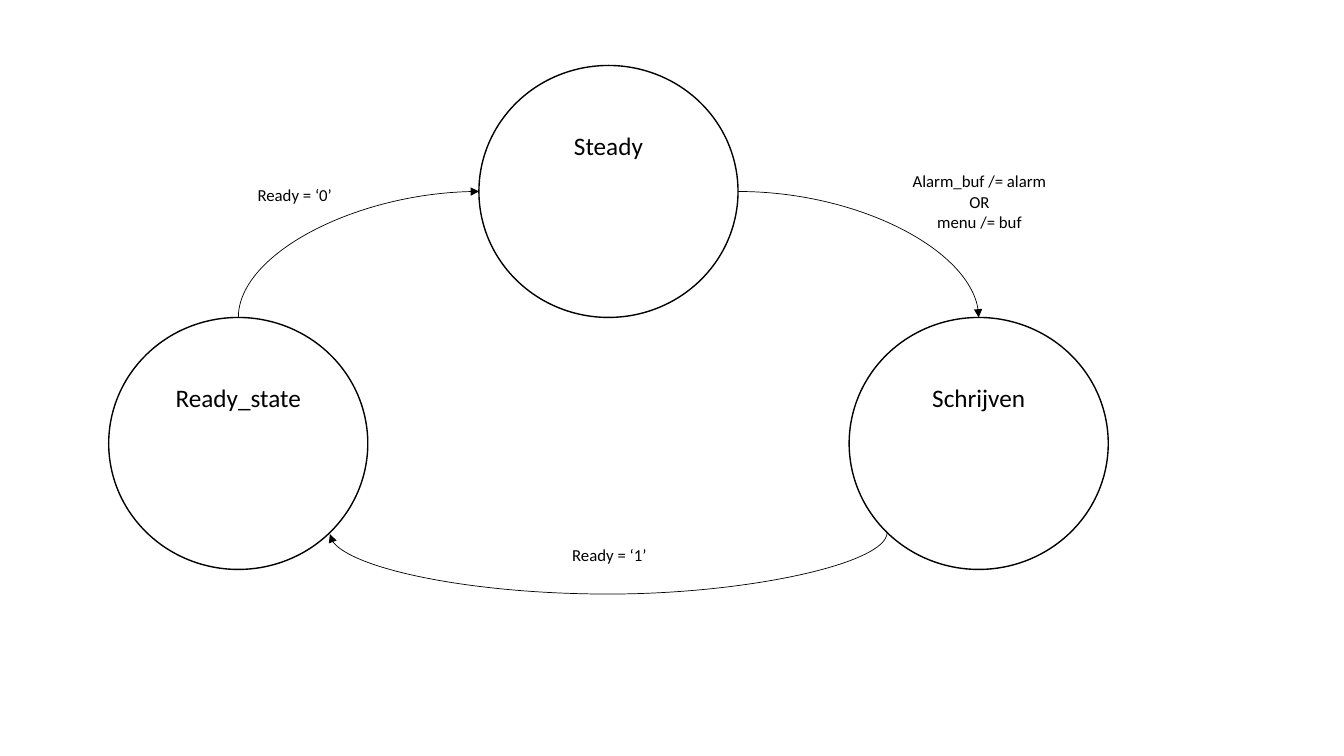
import math
from dataclasses import dataclass

import lxml.etree
import pptx
import pptx.dml.color
import pptx.enum.shapes
import pptx.enum.text
import pptx.oxml.ns
import pptx.util

Cm = pptx.util.Cm
Pt = pptx.util.Pt
qn = pptx.oxml.ns.qn

INK = "000000"
WIDE, HIGH = 6.53, 6.35
MID = 12.07
STEP = 9.33
TOP = 1.65


@dataclass
class State:
    name: str
    left: float
    top: float

    def rim(self, angle: float) -> tuple[float, float]:
        """Point on the outline, in degrees clockwise from the right."""
        turn = math.radians(angle)
        return (self.left + WIDE / 2 * (1 + math.cos(turn)),
                self.top + HIGH / 2 * (1 + math.sin(turn)))


@dataclass
class Arrow:
    start: tuple[float, float]
    end: tuple[float, float]
    turned: bool
    dip: float = 0  # how far a U-shaped curve sinks below its start


@dataclass
class Label:
    lines: list[str]
    left: float
    top: float
    width: float
    height: float
    size: int = 12


def color(code: str) -> pptx.dml.color.RGBColor:
    return pptx.dml.color.RGBColor.from_string(code)


def write(shapes, label: Label) -> None:
    box = shapes.add_textbox(Cm(label.left), Cm(label.top), Cm(label.width), Cm(label.height))
    frame = box.text_frame
    frame.word_wrap = True
    frame.auto_size = pptx.enum.text.MSO_AUTO_SIZE.SHAPE_TO_FIT_TEXT
    for i, line in enumerate(label.lines):
        para = frame.paragraphs[0] if i == 0 else frame.add_paragraph()
        para.alignment = pptx.enum.text.PP_ALIGN.CENTER
        run = para.add_run()
        run.text = line
        run.font.name = "Calibri"
        run.font.size = Pt(label.size)
        run.font.color.rgb = color(INK)


def draw_state(shapes, state: State) -> None:
    group = shapes.add_group_shape()
    ring = group.shapes.add_shape(pptx.enum.shapes.MSO_SHAPE.OVAL, Cm(state.left),
                                  Cm(state.top), Cm(WIDE), Cm(HIGH))
    ring.shadow.inherit = False
    ring.fill.background()
    ring.line.color.rgb = color(INK)
    ring.line.width = Pt(1)
    write(group.shapes, Label([state.name], state.left + 1.23, state.top + 1.52, 4.07, 1.02, 18))


def draw_arrow(shapes, arrow: Arrow) -> None:
    """Draw a curve; a turned one leaves its start vertically."""
    (x1, y1), (x2, y2) = arrow.start, arrow.end
    if arrow.turned:
        # Undo the quarter turn around the centre to find the unrotated box.
        cx, cy = (x1 + x2) / 2, (y1 + y2) / 2
        dx, dy = y2 - y1, x1 - x2
        x1, y1, x2, y2 = cx - dx / 2, cy - dy / 2, cx + dx / 2, cy + dy / 2
    curve = shapes.add_connector(pptx.enum.shapes.MSO_CONNECTOR.CURVE,
                                 Cm(x1), Cm(y1), Cm(x2), Cm(y2))
    curve.line.color.rgb = color(INK)
    curve.line.width = Pt(0.5)
    props = curve._element.spPr
    if arrow.turned:
        props.find(qn("a:xfrm")).set("rot", str(90 * 60000))
    shape = props.find(qn("a:prstGeom"))
    if arrow.dip:
        guide = lxml.etree.SubElement(shape.find(qn("a:avLst")), qn("a:gd"))
        guide.set("name", "adj1")
        guide.set("fmla", f"val {round(arrow.dip / (x2 - x1) * 100000)}")
    else:
        shape.set("prst", "curvedConnector2")
    lxml.etree.SubElement(props.find(qn("a:ln")), qn("a:tailEnd")).set("type", "triangle")
    lxml.etree.SubElement(props, qn("a:effectLst"))


def main() -> None:
    deck = pptx.Presentation()
    deck.slide_width, deck.slide_height = Cm(33.87), Cm(19.05)
    shapes = deck.slides.add_slide(deck.slide_layouts[6]).shapes

    steady = State("Steady", MID, TOP)
    writing = State("Schrijven", MID + STEP, TOP + HIGH)
    ready = State("Ready_state", MID - STEP, TOP + HIGH)
    for state in (steady, writing, ready):
        draw_state(shapes, state)

    low_x, low_y = ready.rim(45)
    arrows = [
        Arrow(steady.rim(0), writing.rim(270), False),
        Arrow(writing.rim(135), (low_x, low_y + 0.04), True, 1.55),
        Arrow(ready.rim(270), steady.rim(180), True),
    ]
    for arrow in arrows:
        draw_arrow(shapes, arrow)

    labels = [
        Label(["Alarm_buf /= alarm", "OR", "menu /= buf"], 22.4, 4.19, 4.57, 1.8),
        Label(["Ready = ‘1’"], 12.5, 13.59, 5.72, 0.76),
        Label(["Ready = ‘0’"], 4.57, 4.52, 5.72, 0.76),
    ]
    for label in labels:
        write(shapes, label)

    deck.save("out.pptx")


if __name__ == "__main__":
    main()
